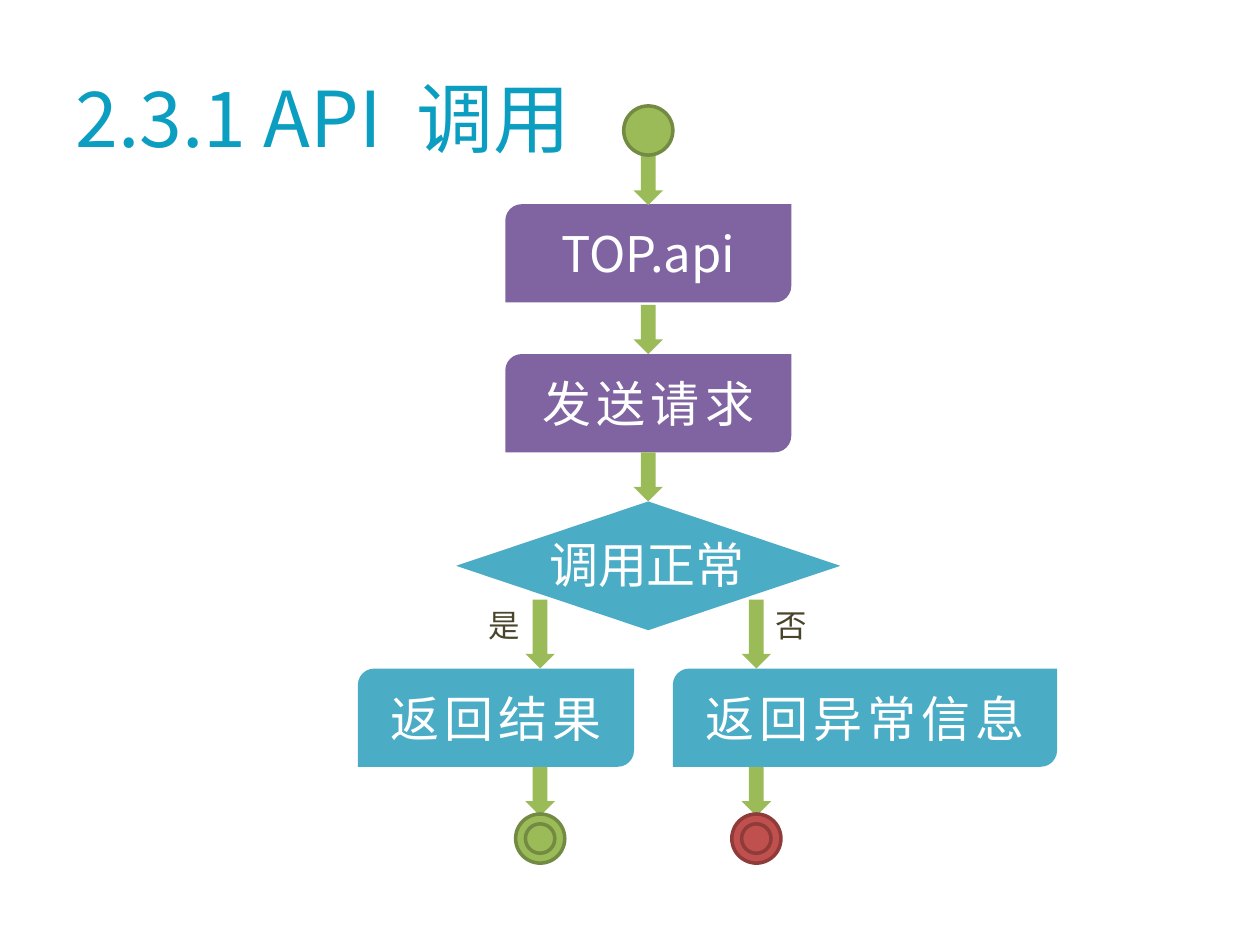
from dataclasses import dataclass

from lxml import etree
from pptx import Presentation
from pptx.dml.color import RGBColor
from pptx.enum.shapes import MSO_SHAPE
from pptx.enum.text import MSO_ANCHOR, PP_ALIGN
from pptx.oxml.ns import qn
from pptx.util import Inches, Pt

ROUNDED = MSO_SHAPE.ROUND_2_DIAG_RECTANGLE
DIAMOND = MSO_SHAPE.DIAMOND
ARROW = MSO_SHAPE.DOWN_ARROW
CIRCLE = MSO_SHAPE.OVAL
LEFT, CENTER = PP_ALIGN.LEFT, PP_ALIGN.CENTER
TOP, MIDDLE = MSO_ANCHOR.TOP, MSO_ANCHOR.MIDDLE


@dataclass(frozen=True)
class Theme:
    font: str = "Noto Sans CJK SC"
    title: str = "0C9EC0"
    step: str = "8064A2"
    result: str = "4BACC6"
    success: str = "9BBB59"
    success_line: str = "738A42"
    failure: str = "C0504D"
    failure_line: str = "8E3B39"
    label: str = "4A452A"
    white: str = "FFFFFF"
    title_size: int = 44
    node_size: int = 28
    label_size: int = 18
    node_spacing: int = 3
    title_gap: int = 10
    ring_line: int = 2


THEME = Theme()

# Grid: square cells; columns count from the main axis, rows from the top.
CELL = 0.39
AXIS = 5.145
FIRST_ROW = 0.86
BRANCH = 2.2
BOX_HEIGHT = 2
INNER = 0.6


def grid_frame(column, row, width, height):
    """Frame centred on a column, with its top on a row."""
    left = AXIS + (column - width / 2) * CELL
    top = FIRST_ROW + row * CELL
    return [Inches(value) for value in (left, top, width * CELL, height * CELL)]


def add_span(para, text, size, color, spacing=0):
    span = para.add_run()
    span.text = text
    span.font.size = Pt(size)
    span.font.color.rgb = RGBColor.from_string(color)
    span.font.name = THEME.font
    properties = span.font._element
    etree.SubElement(properties, qn("a:ea")).set("typeface", THEME.font)
    if spacing:
        properties.set("spc", str(spacing * 100))


def write_text(box, text, size=THEME.node_size, color=THEME.white, spacing=0,
               align=CENTER, anchor=MIDDLE, wrap=True):
    frame = box.text_frame
    frame.word_wrap = wrap
    frame.vertical_anchor = anchor
    para = frame.paragraphs[0]
    para.alignment = align
    add_span(para, text, size, color, spacing)
    return para


def add_figure(page, kind, frame, fill, line=None):
    figure = page.shapes.add_shape(kind, *frame)
    figure.shadow.inherit = False
    figure.fill.solid()
    figure.fill.fore_color.rgb = RGBColor.from_string(fill)
    if line:
        figure.line.color.rgb = RGBColor.from_string(line)
        figure.line.width = Pt(THEME.ring_line)
    else:
        figure.line.fill.background()
    return figure


def add_title(page, deck):
    width, height = deck.slide_width, deck.slide_height
    box = page.shapes.add_textbox(int(width * 0.05), int(height * 0.04),
                                  int(width * 0.9), Inches(1.25))
    style = {"size": THEME.title_size, "color": THEME.title}
    para = write_text(box, "2.3.1 API", align=LEFT, **style)
    add_span(para, " ", spacing=THEME.title_gap, **style)
    add_span(para, "调用", **style)


def add_node(page, text, column, row, width, fill, spacing=THEME.node_spacing):
    node = add_figure(page, ROUNDED, grid_frame(column, row, width, BOX_HEIGHT), fill)
    write_text(node, text, spacing=spacing)


def add_arrow(page, column, row, length=1):
    add_figure(page, ARROW, grid_frame(column, row, INNER, length), THEME.success)


def add_label(page, text, column, row, width, height, **style):
    box = page.shapes.add_textbox(*grid_frame(column, row, width, height))
    write_text(box, text, align=LEFT, anchor=TOP, wrap=False, **style)


def add_end_ring(page, column, row, fill, line):
    for size in (1, INNER):
        frame = grid_frame(column, row + (1 - size) / 2, size, size)
        add_figure(page, CIRCLE, frame, fill, line)


def main():
    deck = Presentation()
    deck.slide_width, deck.slide_height = Inches(10), Inches(7.5)
    page = deck.slides.add_slide(deck.slide_layouts[6])

    add_title(page, deck)

    add_node(page, "TOP.api", 0, 1.95, 5.82, THEME.step, spacing=0)
    add_node(page, "发送请求", 0, 5, 5.82, THEME.step)
    add_figure(page, DIAMOND, grid_frame(0, 8, 7.82, 2.62), THEME.result)
    add_node(page, "返回结果", -3.1, 11.4, 5.62, THEME.result)
    add_node(page, "返回异常信息", 4.41, 11.4, 7.82, THEME.result)

    for row in (0.97, 4, 7):
        add_arrow(page, 0, row)
    for column in (-BRANCH, BRANCH):
        add_arrow(page, column, 10, length=1.4)
        add_arrow(page, column, 13.4)

    add_label(page, "调用正常", 0, 8.54, 4.54, 1.46)
    for text, column in (("是", -2.92), ("否", 2.92)):
        add_label(page, text, column, 10, 1.15, 1.03,
                  size=THEME.label_size, color=THEME.label)

    add_figure(page, CIRCLE, grid_frame(0, -0.05, 1, 1),
               THEME.success, THEME.success_line)
    add_end_ring(page, BRANCH, 14.36, THEME.failure, THEME.failure_line)
    add_end_ring(page, -BRANCH, 14.36, THEME.success, THEME.success_line)

    deck.save("out.pptx")


if __name__ == "__main__":
    main()
